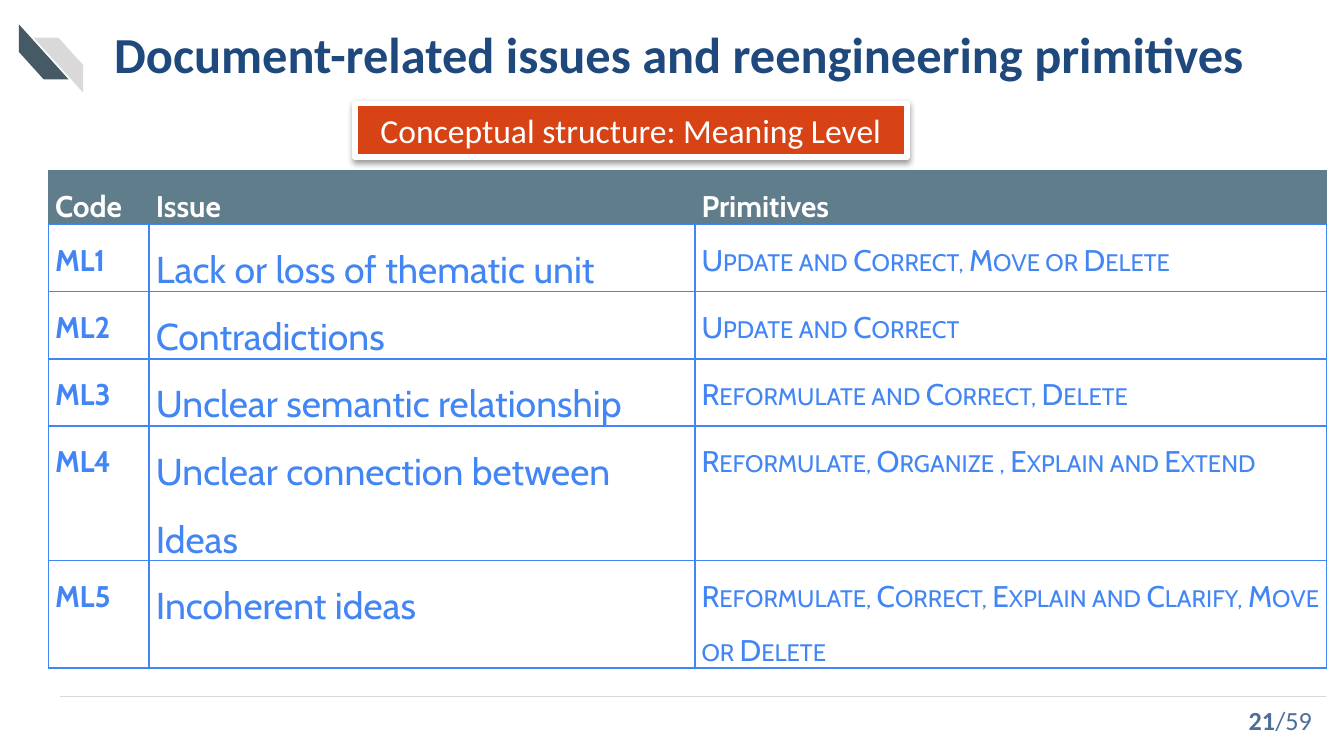
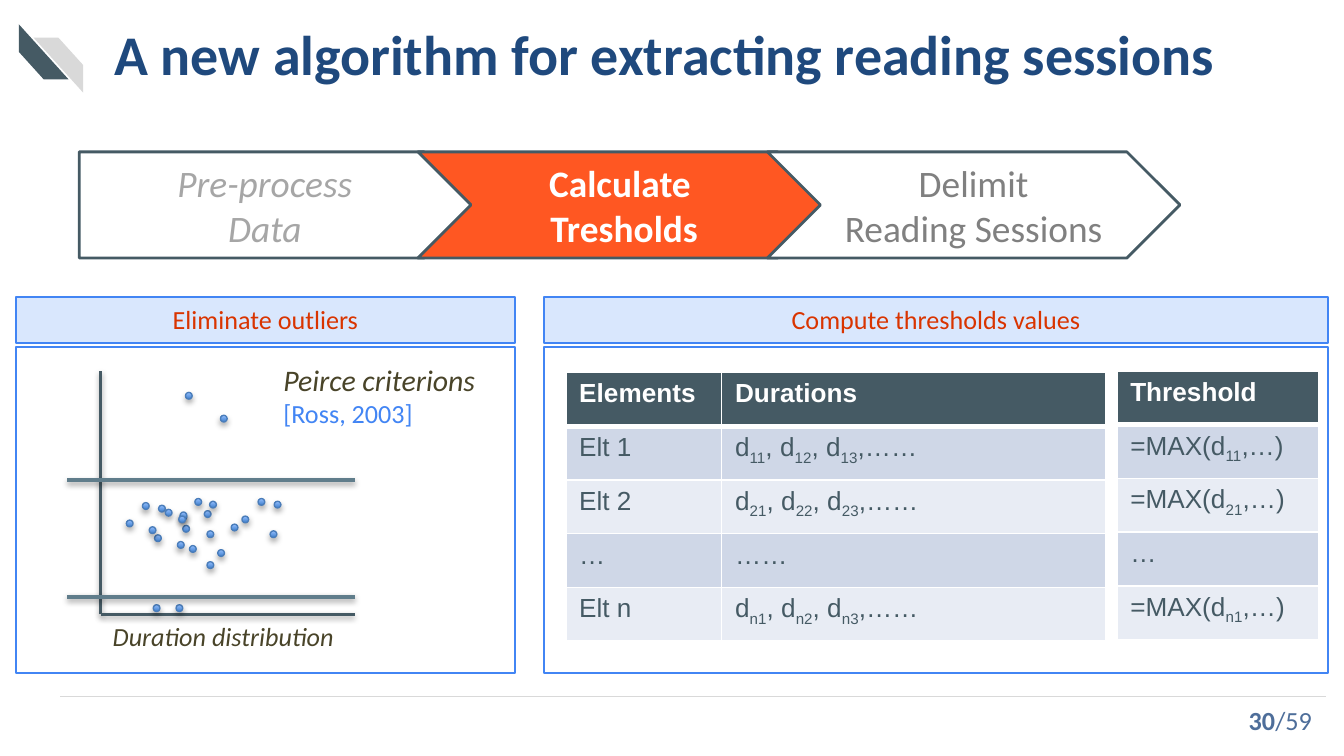
from dataclasses import dataclass, replace

from lxml.etree import SubElement
from pptx import Presentation
from pptx.dml.color import RGBColor
from pptx.enum.shapes import MSO_CONNECTOR, MSO_SHAPE
from pptx.enum.text import MSO_ANCHOR, PP_ALIGN
from pptx.oxml.ns import qn
from pptx.util import Emu, Pt

EMU_PER_PX = 4572


def px(length):
    """Turn a length in px into EMU."""
    return Emu(length * EMU_PER_PX)


@dataclass(frozen=True)
class Box:
    """A rectangle in px."""
    left: int
    top: int
    width: int
    height: int

    def inner(self, left, top, width, height):
        """Give a box placed relative to this one."""
        return Box(self.left + left, self.top + top, width, height)

    def emu(self):
        """Give left, top, width and height in EMU."""
        return [px(v) for v in (self.left, self.top, self.width, self.height)]


@dataclass(frozen=True)
class Style:
    """How a piece of text looks."""
    size: int
    color: str
    font: str = "Calibri"
    bold: bool = False
    italic: bool = False
    small_caps: bool = False


class Theme:
    """Colours and type styles of the deck."""
    white = "FFFFFF"
    slate = "455A64"
    steel = "607D8B"
    light_gray = "D9D9D9"
    blue = "4285F4"
    pale_blue = "D9E7FD"
    badge_red = "D84315"
    orange = "FF5722"
    bands = ("CFD7E7", "E8ECF4")
    dot_gradient = ("3E7FCD", "96C0FF")
    dot_line = "4A7DBA"
    shadow = (38, 3.1, 1.6)
    dot_shadow = (35, 3.1, 1.8)
    title = Style(30, "1F497D", bold=True)
    long_title = replace(title, size=27)
    page_total = Style(14, "4E6E9A")
    page_number = replace(page_total, bold=True)
    badge = Style(18, white)
    issue_head = Style(16, white, "Cabin", bold=True)
    issue_code = replace(issue_head, color=blue)
    issue_name = Style(20, blue, "Cabin")
    issue_primitives = Style(16, blue, "Cabin", small_caps=True)
    step_done = Style(20, "A6A6A6", italic=True)
    step_now = Style(20, white, bold=True)
    step_next = Style(20, "808080")
    panel_head = Style(14, "D93400")
    note = Style(16, "494429", italic=True)
    caption = replace(note, size=14)
    citation = Style(14, blue)
    data_head = Style(14, white, "Arial", bold=True)
    data = Style(14, slate, "Arial")


def rgb(color):
    """Turn a hex colour into an RGBColor."""
    return RGBColor.from_string(color)


def set_font(font, style):
    """Give a font the face, size and weight of a style."""
    font.name, font.size = style.font, Pt(style.size)
    font.bold, font.italic = style.bold, style.italic


def add_spans(para, text, style):
    """Add text to a paragraph, lowering the pieces between underscores."""
    for index, piece in enumerate(text.split("_")):
        span = para.add_run()
        span.text = piece
        span.font.color.rgb = rgb(style.color)
        properties = span._r.get_or_add_rPr()
        if index % 2:
            properties.set("baseline", "-25000")
        if style.small_caps:
            properties.set("cap", "small")


def write(frame, lines, style, align=PP_ALIGN.LEFT, spacing=None):
    """Write one paragraph per line in one style."""
    for index, line in enumerate(lines):
        para = frame.add_paragraph() if index else frame.paragraphs[0]
        para.alignment = align
        if spacing:
            para.line_spacing = spacing
        set_font(para.font, style)
        add_spans(para, line, style)


def write_mixed(frame, pieces, align=PP_ALIGN.LEFT):
    """Write one paragraph from pieces of differing style."""
    para = frame.paragraphs[0]
    para.alignment = align
    for text, style in pieces:
        add_spans(para, text, style)
        set_font(para.runs[-1].font, style)


def set_shadow(shape, shadow=None):
    """Give a shape a downward shadow, or none."""
    properties = shape.element.spPr
    effects = SubElement(properties, qn("a:effectLst"))
    if shadow:
        alpha, blur, distance = shadow
        outer = SubElement(effects, qn("a:outerShdw"), blurRad=str(Pt(blur)),
                           dist=str(Pt(distance)), dir="5400000", rotWithShape="0")
        color = SubElement(outer, qn("a:srgbClr"), val="000000")
        SubElement(color, qn("a:alpha"), val=str(alpha * 1000))


def add_shape(page, kind, box, fill=None, line=None, weight=1, shadow=None):
    """Add a preset shape with plain fill and line."""
    shape = page.shapes.add_shape(kind, *box.emu())
    if fill:
        shape.fill.solid()
        shape.fill.fore_color.rgb = rgb(fill)
    else:
        shape.fill.background()
    if line:
        shape.line.color.rgb = rgb(line)
        shape.line.width = Pt(weight)
    else:
        shape.line.fill.background()
    set_shadow(shape, shadow)
    return shape


def add_line(page, start, end, color, weight, shadow=None):
    """Add a straight line between two points."""
    line = page.shapes.add_connector(MSO_CONNECTOR.STRAIGHT, *map(px, start + end))
    line.line.color.rgb = rgb(color)
    line.line.width = Pt(weight)
    set_shadow(line, shadow)


def add_text(page, box, anchor=MSO_ANCHOR.TOP):
    """Add a wrapping text box and give its frame."""
    frame = page.shapes.add_textbox(*box.emu()).text_frame
    frame.word_wrap = True
    frame.vertical_anchor = anchor
    return frame


def set_borders(cell, left, right, top, bottom):
    """Draw the cell borders, each a colour and a weight."""
    properties = cell._tc.get_or_add_tcPr()
    sides = {"L": left, "R": right, "T": top, "B": bottom}
    for side, (color, weight) in sides.items():
        line = SubElement(properties, qn(f"a:ln{side}"), w=str(Pt(weight)))
        fill = SubElement(line, qn("a:solidFill"))
        SubElement(fill, qn("a:srgbClr"), val=color)


def add_table(page, box, widths, heights):
    """Add a table without banding."""
    table = page.shapes.add_table(len(heights), len(widths), *box.emu()).table
    table.first_row = table.horz_banding = False
    for column, width in zip(table.columns, widths):
        column.width = px(width)
    for row, height in zip(table.rows, heights):
        row.height = px(height)
    return table


def fill_cell(cell, text, style, fill, borders, margins, spacing=None):
    """Set the borders, fill, margins and text of a cell."""
    set_borders(cell, *borders)
    cell.fill.solid()
    cell.fill.fore_color.rgb = rgb(fill)
    cell.margin_left = cell.margin_right = px(margins[0])
    cell.margin_top = cell.margin_bottom = px(margins[1])
    write(cell.text_frame, [text], style, spacing=spacing)


def add_page(deck, title, number, title_style=Theme.title):
    """Add a page with its corner stripes, title, rule and number."""
    page = deck.slides.add_slide(deck.slide_layouts[6])
    dark = add_shape(page, MSO_SHAPE.DIAGONAL_STRIPE, Box(24, 40, 82, 74), Theme.slate)
    dark.rotation = 270
    light = add_shape(page, MSO_SHAPE.DIAGONAL_STRIPE, Box(50, 56, 74, 82),
                      Theme.light_gray)
    light.element.spPr.xfrm.set("flipH", "1")
    add_line(page, (90, 1036), (1974, 1036), Theme.light_gray, 0.5)
    heading = add_text(page, Box(170, 16, 1780, 126), MSO_ANCHOR.MIDDLE)
    heading.margin_left = heading.margin_right = 0
    heading.margin_top = heading.margin_bottom = 0
    write(heading, [title], title_style)
    footer = add_text(page, Box(1412, 1042, 560, 60), MSO_ANCHOR.MIDDLE)
    write_mixed(footer, [(number, Theme.page_number), ("/59", Theme.page_total)],
                PP_ALIGN.RIGHT)
    return page


def add_label(page, box, text, style, fill, line, weight=1, shadow=None):
    """Add a filled rectangle with a centred line of text."""
    shape = add_shape(page, MSO_SHAPE.RECTANGLE, box, fill, line, weight, shadow)
    shape.text_frame.vertical_anchor = MSO_ANCHOR.TOP
    write(shape.text_frame, [text], style, PP_ALIGN.CENTER)


def add_issue_table(page, box, rows):
    """Add the table of issue codes, names and primitives."""
    table = add_table(page, box, (150, 812, 940), (50, 56, 56, 56, 66, 68))
    blue, steel = (Theme.blue, 1), (Theme.steel, 1)
    body = (Theme.issue_code, Theme.issue_name, Theme.issue_primitives)
    for r, row in enumerate(rows):
        styles = body if r else (Theme.issue_head,) * 3
        fill = Theme.white if r else Theme.steel
        borders = (blue,) * 4 if r else (steel, steel, steel, blue)
        for c, (text, style) in enumerate(zip(row, styles)):
            fill_cell(table.cell(r, c), text, style, fill, borders, (10, 0), 1.5)


def add_data_table(page, box, widths, rows):
    """Add a banded table with a dark heading row."""
    table = add_table(page, box, widths, [box.height // len(rows)] * len(rows))
    thin, thick = (Theme.white, 1), (Theme.white, 3)
    for r, row in enumerate(rows):
        style = Theme.data if r else Theme.data_head
        fill = Theme.bands[(r - 1) % 2] if r else Theme.slate
        borders = (thin, thin, thick if r == 1 else thin, thin if r else thick)
        for c, text in enumerate(row):
            fill_cell(table.cell(r, c), text, style, fill, borders, (20, 10))


def add_steps(page, box):
    """Add the three steps of the algorithm as a chain of arrows."""
    steps = [
        (MSO_SHAPE.PENTAGON, 0, 592, None, Theme.step_done, ["Pre-process", "Data"]),
        (MSO_SHAPE.CHEVRON, 504, 614, Theme.orange, Theme.step_now,
         ["Calculate ", "Tresholds"]),
        (MSO_SHAPE.CHEVRON, 1024, 614, Theme.white, Theme.step_next,
         ["Delimit", "Reading Sessions"]),
    ]
    for kind, left, width, fill, style, lines in steps:
        arrow = add_shape(page, kind, box.inner(left, 0, width, box.height), fill,
                          Theme.slate, 1.5)
        arrow.text_frame.vertical_anchor = MSO_ANCHOR.MIDDLE
        write(arrow.text_frame, lines, style, PP_ALIGN.CENTER)


def add_panel(page, box, heading):
    """Add a framed panel under a heading band."""
    add_shape(page, MSO_SHAPE.RECTANGLE, box.inner(0, 75, box.width, box.height - 75),
              Theme.white, Theme.blue)
    add_label(page, box.inner(0, 0, box.width, 68), heading, Theme.panel_head,
              Theme.pale_blue, Theme.blue)


def add_scatter(page, box, dots):
    """Add the sketch of durations with its two outlier limits."""
    right, bottom = box.left + box.width, box.top + box.height
    corner = (box.left + 50, bottom)
    for end in ((box.left + 50, box.top), (right, bottom)):
        add_line(page, corner, end, Theme.slate, 1.5, Theme.shadow)
    for left, top in dots:
        dot = add_shape(page, MSO_SHAPE.OVAL, box.inner(left, top, 10, 10),
                        line=Theme.dot_line, weight=0.75, shadow=Theme.dot_shadow)
        dot.fill.gradient()
        dot.fill.gradient_angle = 90
        for stop, color in zip(dot.fill.gradient_stops, Theme.dot_gradient):
            stop.color.rgb = rgb(color)
    write(add_text(page, box.inner(48, box.height, 490, 68)),
          ["Duration distribution"], Theme.caption)
    for top in (162, 336):
        add_line(page, (box.left, box.top + top), (right, box.top + top),
                 Theme.steel, 2, Theme.shadow)
    write_mixed(add_text(page, box.inner(302, -24, 346, 122)),
                [("Peirce criterions ", Theme.note), ("[Ross, 2003]", Theme.citation)])


def build_issues(deck):
    """Build the page of meaning-level issues."""
    page = add_page(deck, "Document-related issues and reengineering primitives",
                    "21", Theme.long_title)
    add_issue_table(page, Box(72, 254, 1902, 590), [
        ("Code", "Issue", "Primitives"),
        ("ML1", "Lack or loss of thematic unit", "Update and Correct, Move or Delete"),
        ("ML2", "Contradictions", "Update and Correct"),
        ("ML3", "Unclear semantic relationship", "Reformulate and Correct, Delete"),
        ("ML4", "Unclear connection between Ideas",
         "Reformulate, Organize , Explain and Extend"),
        ("ML5", "Incoherent ideas",
         "Reformulate, Correct, Explain and Clarify, Move or Delete"),
    ])
    add_label(page, Box(528, 154, 822, 80), "Conceptual structure: Meaning Level",
              Theme.badge, Theme.badge_red, Theme.white, 3, Theme.shadow)


def build_algorithm(deck):
    """Build the page of the threshold step."""
    page = add_page(deck, "A new algorithm for extracting reading sessions", "30")
    add_steps(page, Box(118, 226, 1638, 158))
    add_panel(page, Box(810, 442, 1166, 559), "Compute thresholds values")
    add_panel(page, Box(24, 442, 742, 559), "Eliminate outliers")
    add_scatter(page, Box(100, 552, 428, 362), [
        (136, 200), (130, 244), (182, 260), (172, 230), (244, 228), (204, 208),
        (224, 266), (168, 212), (208, 284), (112, 196), (88, 222), (176, 32),
        (228, 66), (128, 348), (162, 348), (168, 210), (164, 254), (146, 206),
        (122, 232), (212, 194), (208, 238), (190, 190), (166, 216), (308, 194),
        (302, 238), (284, 190), (260, 216),
    ])
    durations = {k: f"d_{k}1_, d_{k}2_, d_{k}3_,……" for k in "12n"}
    durations["…"] = "……"
    maxima = {k: f"=MAX(d_{k}1_,…)" for k in "12n"}
    elements = [(k if k == "…" else f"Elt {k}", durations[k]) for k in "12…n"]
    add_data_table(page, Box(842, 554, 804, 400), (232, 572),
                   [("Elements", "Durations"), *elements])
    add_data_table(page, Box(1662, 552, 300, 400), (300,),
                   [("Threshold",), *((maxima.get(k, k),) for k in "12…n")])


def main():
    """Build and save the deck."""
    deck = Presentation()
    deck.slide_width, deck.slide_height = px(2000), px(1125)
    build_issues(deck)
    build_algorithm(deck)
    deck.save("out.pptx")


if __name__ == "__main__":
    main()
